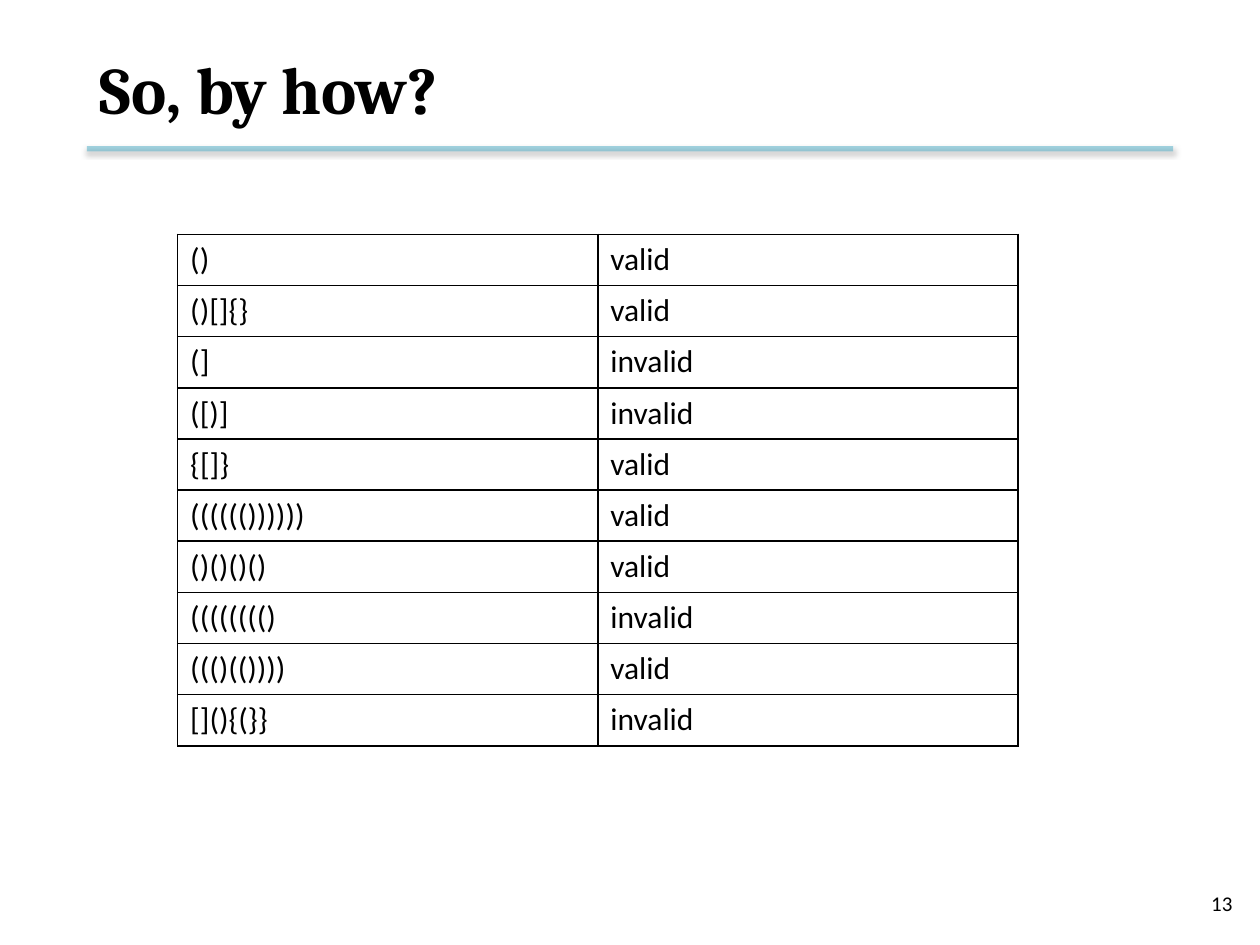
"""Build a slide with a table of valid and invalid bracket strings."""
from pptx import Presentation, oxml, util as u
from pptx.dml.color import RGBColor
from pptx.enum import shapes, text
from pptx.oxml.ns import nsdecls, qn


def color(code):
    return RGBColor.from_string(code)


def write(frame, words, size, face="Calibri", bold=False):
    run = frame.paragraphs[0].add_run()
    run.text = words
    run.font.size = u.Pt(size)
    run.font.name = face
    run.font.bold = bold
    run.font.color.rgb = color("000000")


deck = Presentation()
deck.slide_width, deck.slide_height = u.Inches(10), u.Inches(7.5)
slide = deck.slides.add_slide(deck.slide_layouts[5])

rule = slide.shapes.add_connector(
    shapes.MSO_CONNECTOR.STRAIGHT,
    u.Inches(0.69), u.Inches(1.18), u.Inches(9.31), u.Inches(1.18))
rule.line.width = u.Pt(3)
rule.line.color.rgb = color("4BACC6")
tint = rule.line._ln.find(".//" + qn("a:srgbClr"))
tint.append(oxml.parse_xml(f'<a:alpha {nsdecls("a")} val="50000"/>'))
rule._element.spPr.append(oxml.parse_xml(
    f'<a:effectLst {nsdecls("a")}>'
    f'<a:outerShdw blurRad="{u.Pt(3.1)}" dist="{u.Pt(1.6)}" dir="5400000" rotWithShape="0">'
    '<a:srgbClr val="000000"><a:alpha val="38000"/></a:srgbClr>'
    '</a:outerShdw></a:effectLst>'))

page = slide.shapes.add_textbox(
    u.Inches(7.55), u.Inches(6.97), u.Inches(2.33), u.Inches(0.4)).text_frame
page.word_wrap = True
page.vertical_anchor = text.MSO_ANCHOR.MIDDLE
page.paragraphs[0].alignment = text.PP_ALIGN.RIGHT
write(page, "13", 12)

title = slide.shapes.title
title.left, title.top = u.Inches(0.69), u.Inches(0.17)
title.width, title.height = u.Inches(8.62), u.Inches(1.06)
title.text_frame.vertical_anchor = text.MSO_ANCHOR.MIDDLE
title.text_frame.paragraphs[0].alignment = text.PP_ALIGN.LEFT
write(title.text_frame, "So, by how?", 38, "Cambria", True)

rows = [
    ("()", "valid"),
    ("()[]{}", "valid"),
    ("(]", "invalid"),
    ("([)]", "invalid"),
    ("{[]}", "valid"),
    ("(((((())))))", "valid"),
    ("()()()()", "valid"),
    ("(((((((()", "invalid"),
    ("((()(())))", "valid"),
    ("[](){(}}", "invalid"),
]
table = slide.shapes.add_table(
    len(rows), 2, u.Inches(1.41), u.Inches(1.86),
    u.Inches(6.67), u.Inches(4.06)).table
table.first_row = table.horz_banding = False
for r, row in enumerate(rows):
    for c, words in enumerate(row):
        cell = table.cell(r, c)
        write(cell.text_frame, words, 18)
        cell.fill.background()
        props = cell._tc.get_or_add_tcPr()
        for i, side in enumerate("LRTB"):
            props.insert(i, oxml.parse_xml(
                f'<a:ln{side} {nsdecls("a")} w="{u.Pt(1)}"><a:solidFill>'
                f'<a:srgbClr val="000000"/></a:solidFill></a:ln{side}>'))

deck.save("out.pptx")
